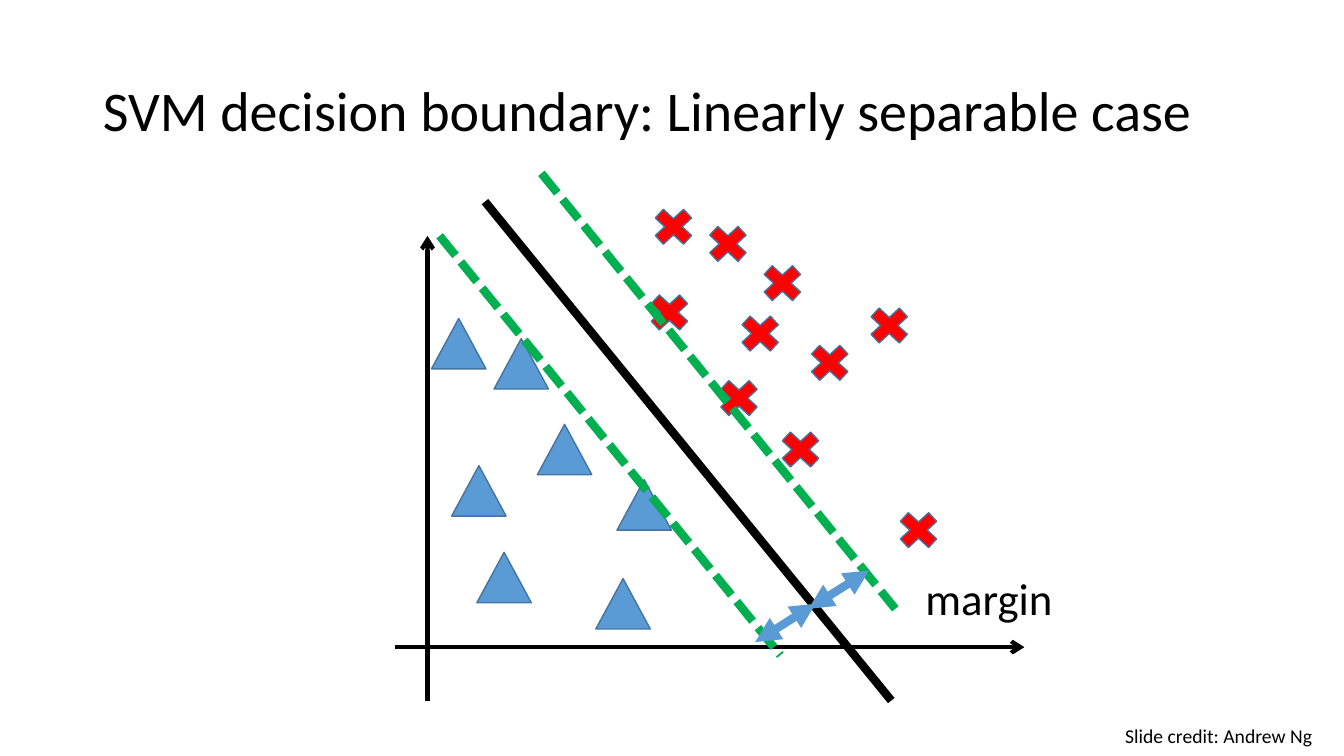
"""Builds the slide on the SVM decision boundary in the linearly separable case."""
from typing import NamedTuple

from lxml import etree
from pptx import Presentation
from pptx import util as u
from pptx.dml.color import RGBColor
from pptx.enum import dml, shapes, text
from pptx.oxml.ns import qn

COLORS = {"black": "000000", "red": "FF0000", "blue": "5B9BD5",
          "outline": "43739E", "green": "00B050"}
FONT = "Calibri"
MARK_W, MARK_H = 0.54, 0.5


class Line(NamedTuple):
    """A straight line with optional arrowheads."""
    x1: float
    y1: float
    x2: float
    y2: float
    color: str = "black"
    width: float = 6
    dashed: bool = False
    head: str = ""
    tail: str = ""


class Sample(NamedTuple):
    """The top left corner of one data point."""
    x: float
    y: float


AXES = [Line(4.24, 2.34, 4.24, 6.95, width=3, head="arrow"),
        Line(3.92, 6.42, 10.16, 6.42, width=3, tail="arrow")]
BOUNDARIES = [Line(4.81, 2, 8.84, 6.95),
              Line(5.37, 1.72, 8.88, 6.04, "green", dashed=True),
              Line(4.36, 2.34, 7.74, 6.5, "green", dashed=True)]
MARGINS = [Line(x, y, x - 0.6, y + 0.38, "blue", head="triangle", tail="triangle")
           for x, y in ((8.62, 5.66), (8.09, 5.99))]
TRIANGLES = [Sample(5.91, 5.74), Sample(4.73, 5.48), Sample(4.48, 4.62),
             Sample(5.33, 4.21), Sample(6.12, 4.76), Sample(4.28, 3.16),
             Sample(4.9, 3.36)]
CROSSES = [Sample(7.06, 3.7), Sample(7.49, 2.56), Sample(7.96, 3.35),
           Sample(7.67, 4.21), Sample(8.55, 2.98), Sample(6.37, 2.85),
           Sample(8.84, 5.01), Sample(6.95, 2.17), Sample(7.27, 3.06),
           Sample(6.41, 2)]


def rgb(name: str) -> RGBColor:
    """Return the named colour."""
    return RGBColor.from_string(COLORS[name])


def draw_line(parent, line: Line) -> None:
    """Draw one line on the slide or in a group."""
    ends = (u.Inches(v) for v in line[:4])
    sp = parent.add_connector(shapes.MSO_CONNECTOR.STRAIGHT, *ends)
    sp.line.color.rgb = rgb(line.color)
    sp.line.width = u.Pt(line.width)
    if line.dashed:
        sp.line.dash_style = dml.MSO_LINE.SQUARE_DOT
    ln = sp.line._get_or_add_ln()
    for tag, kind in (("a:headEnd", line.head), ("a:tailEnd", line.tail)):
        if kind:
            etree.SubElement(ln, qn(tag), type=kind)
    etree.SubElement(sp._element.spPr, qn("a:effectLst"))


def draw_sample(parent, sample: Sample, kind: shapes.MSO_SHAPE, color: str) -> None:
    """Draw one data point."""
    sp = parent.add_shape(kind, u.Inches(sample.x), u.Inches(sample.y),
                          u.Inches(MARK_W), u.Inches(MARK_H))
    sp.shadow.inherit = False
    sp.fill.solid()
    sp.fill.fore_color.rgb = rgb(color)
    sp.line.color.rgb = rgb("outline")
    sp.line.width = u.Pt(1)


def write(sp, words: str, size: float, align: text.PP_ALIGN,
          anchor: text.MSO_ANCHOR, wrap: bool = True):
    """Write one paragraph into a shape and return it."""
    tf = sp.text_frame
    tf.word_wrap = wrap
    tf.vertical_anchor = anchor
    p = tf.paragraphs[0]
    p.alignment = align
    r = p.add_run()
    r.text = words
    r.font.size = u.Pt(size)
    r.font.name = FONT
    r.font.color.rgb = rgb("black")
    return p


def main() -> None:
    """Build and save the slide."""
    prs = Presentation()
    prs.slide_width, prs.slide_height = u.Inches(13.33), u.Inches(7.5)
    s = prs.slides.add_slide(prs.slide_layouts[5])

    title = s.shapes.title
    title.left, title.top = u.Inches(0.92), u.Inches(0.4)
    title.width, title.height = u.Inches(11.5), u.Inches(1.45)
    p = write(title, "SVM decision boundary: Linearly separable case", 40,
              text.PP_ALIGN.LEFT, text.MSO_ANCHOR.MIDDLE)
    p.line_spacing = 0.9

    plot = s.shapes.add_group_shape().shapes
    for axis in AXES:
        draw_line(plot, axis)
    for sample in TRIANGLES:
        draw_sample(plot, sample, shapes.MSO_SHAPE.ISOSCELES_TRIANGLE, "blue")
    for sample in CROSSES:
        draw_sample(plot, sample, shapes.MSO_SHAPE.MATH_MULTIPLY, "red")
    for line in BOUNDARIES + MARGINS:
        draw_line(s.shapes, line)

    label = s.shapes.add_textbox(u.Inches(9.08), u.Inches(5.61),
                                 u.Inches(1.48), u.Inches(0.64))
    write(label, "margin", 32, text.PP_ALIGN.LEFT, text.MSO_ANCHOR.TOP, wrap=False)
    label.text_frame.auto_size = text.MSO_AUTO_SIZE.SHAPE_TO_FIT_TEXT
    credit = s.shapes.add_textbox(u.Inches(10.89), u.Inches(7.1),
                                  u.Inches(2.44), u.Inches(0.4))
    write(credit, "Slide credit: Andrew Ng ", 14,
          text.PP_ALIGN.CENTER, text.MSO_ANCHOR.MIDDLE)
    prs.save("out.pptx")


if __name__ == "__main__":
    main()
